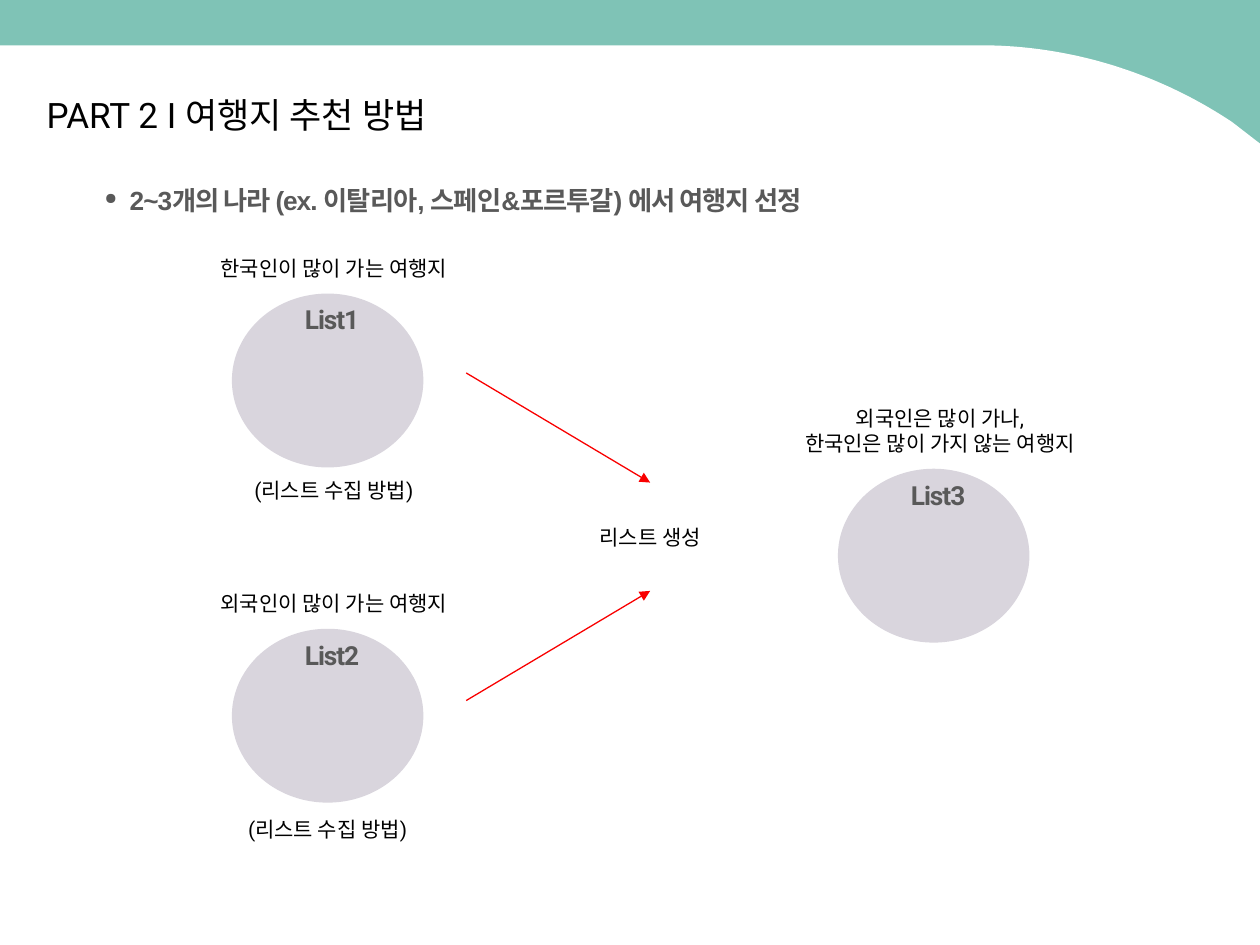
from lxml.etree import SubElement
from pptx import Presentation
from pptx.dml.color import RGBColor
from pptx.enum.shapes import MSO_CONNECTOR, MSO_SHAPE
from pptx.enum.text import MSO_ANCHOR, MSO_AUTO_SIZE, PP_ALIGN
from pptx.oxml.ns import qn
from pptx.util import Inches, Pt

COLUMNS, ROWS = 100, 75
CELL = Inches(0.1)
TEAL, WHITE, BLACK = "7FC3B6", "FFFFFF", "000000"
LILAC, GREY, RED = "D9D5DD", "595959", "F90000"
CIRCLE_WIDTH, CIRCLE_HEIGHT = 15.2, 13.8
LABEL_WIDTH, LINE_HEIGHT = 23.2, 2


def cells(*lengths):
    """Turn grid lengths into slide units."""
    return [round(length * CELL) for length in lengths]


def paint(color_format, color):
    """Set a hex colour on a fill or font colour."""
    color_format.rgb = RGBColor.from_string(color)


def fill_plain(shape, color):
    """Give a shape a flat fill with no line or shadow."""
    shape.shadow.inherit = False
    shape.fill.solid()
    paint(shape.fill.fore_color, color)
    shape.line.fill.background()


def write(shape, lines, size, color=BLACK, font="Roboto", heading=False, align=PP_ALIGN.LEFT):
    """Write lines into a frame without margins and return its paragraphs."""
    frame = shape.text_frame
    frame.word_wrap = True
    frame.auto_size = MSO_AUTO_SIZE.SHAPE_TO_FIT_TEXT
    frame.vertical_anchor = MSO_ANCHOR.TOP
    frame.margin_left = frame.margin_right = frame.margin_top = frame.margin_bottom = 0
    frame.text = "\n".join(lines)
    for paragraph in frame.paragraphs:
        paragraph.alignment = align
        paragraph.font.name = font
        paragraph.font.size = Pt(size)
        paragraph.font.bold = heading
        paint(paragraph.font.color, color)
        if heading:
            paragraph.space_before = Pt(5)
            paragraph.font._element.set("spc", "-60")
    return frame.paragraphs


def add_label(slide, center, top, lines):
    """Add centred small text around a column."""
    box = cells(center - LABEL_WIDTH / 2, top, LABEL_WIDTH, LINE_HEIGHT * len(lines))
    write(slide.shapes.add_textbox(*box), lines, 12, align=PP_ALIGN.CENTER)


def curve(start, first, second, end, steps=40):
    """Return points along a cubic curve after its start."""
    points = []
    for step in range(1, steps + 1):
        t = step / steps
        weights = ((1 - t) ** 3, 3 * t * (1 - t) ** 2, 3 * t * t * (1 - t), t ** 3)
        points.append(tuple(
            sum(weight * value for weight, value in zip(weights, values))
            for values in zip(start, first, second, end)))
    return points


def add_panel(slide, top):
    """Lay the white page with its curved corner below the teal band."""
    bend = (77.8, top)
    points = [bend, *curve(bend, (85.2, top), (92.1, top + 2.3), (97.8, top + 6.1)),
              (COLUMNS, top + 7.8), (COLUMNS, ROWS), (0, ROWS)]
    builder = slide.shapes.build_freeform(*cells(0, top))
    builder.add_line_segments([cells(*point) for point in points])
    panel = builder.convert_to_shape()
    fill_plain(panel, WHITE)
    slide.shapes._spTree.insert(2, panel._element)


def add_title(slide, left, top, width, height):
    """Place and format the title placeholder."""
    title = slide.shapes.title
    title.left, title.top, title.width, title.height = cells(left, top, width, height)
    write(title, ["PART 2 I 여행지 추천 방법"], 20)


def add_statement(slide, left, top, width, height):
    """Add the bulleted main statement."""
    box = slide.shapes.add_textbox(*cells(left, top, width, height))
    text = "2~3개의 나라 (ex. 이탈리아, 스페인&포르투갈) 에서 여행지 선정"
    paragraph = write(box, [text], 15, GREY, "Arial", heading=True)[0]
    properties = paragraph._p.get_or_add_pPr()
    properties.set("marL", str(Inches(0.2)))
    properties.set("indent", str(-Inches(0.2)))
    color = SubElement(properties, qn("a:buClr"))
    SubElement(color, qn("a:srgbClr"), val=GREY)
    SubElement(properties, qn("a:buSzPct"), val="60000")
    SubElement(properties, qn("a:buChar"), char="●")
    properties.append(properties.find(qn("a:defRPr")))


def add_list(slide, left, top, name, caption):
    """Add a circle with its name inside and its caption above."""
    circle = slide.shapes.add_shape(
        MSO_SHAPE.OVAL, *cells(left, top, CIRCLE_WIDTH, CIRCLE_HEIGHT))
    fill_plain(circle, LILAC)
    add_label(slide, left + 8.1, top - 1 - LINE_HEIGHT * len(caption), caption)
    box = slide.shapes.add_textbox(*cells(left + 5.8, top + 0.8, 4.7, 2.5))
    write(box, [name], 15, GREY, heading=True)


def add_arrow(slide, start, end):
    """Draw a thin red arrow between two grid points."""
    arrow = slide.shapes.add_connector(MSO_CONNECTOR.STRAIGHT, *cells(*start, *end))
    paint(arrow.line.color, RED)
    arrow.line.width = Pt(0.75)
    SubElement(arrow.line._get_or_add_ln(), qn("a:tailEnd"), type="triangle")
    SubElement(arrow._element.spPr, qn("a:effectLst"))


def add_flow(slide, left, top):
    """Show two source lists leading to the generated list."""
    sources = [("List1", "한국인이 많이 가는 여행지", 0, 8.1, 14.6),
               ("List2", "외국인이 많이 가는 여행지", 26.6, 7.6, 14.9)]
    for name, caption, drop, method_center, method_drop in sources:
        add_list(slide, left, top + drop, name, [caption])
        add_label(slide, left + method_center, top + drop + method_drop, ["(리스트 수집 방법)"])
    middle = top + 19.3
    for side in (-1, 1):
        add_arrow(slide, (left + 18.6, middle + side * 13), (left + 33.2, middle + side * 4.3))
    add_label(slide, left + 33.2, middle - LINE_HEIGHT / 2, ["리스트 생성"])
    add_list(slide, left + 48.1, top + 13.9, "List3",
             ["외국인은 많이 가나,", "한국인은 많이 가지 않는 여행지"])


def main():
    """Build and save the slide."""
    presentation = Presentation()
    presentation.slide_width, presentation.slide_height = cells(COLUMNS, ROWS)
    slide = presentation.slides.add_slide(presentation.slide_layouts[5])
    slide.background.fill.solid()
    paint(slide.background.fill.fore_color, TEAL)
    add_panel(slide, 3.6)
    add_title(slide, 3.7, 7.4, 35.6, 3.4)
    add_statement(slide, 8.3, 14.6, 86.6, 2.5)
    add_flow(slide, 18.4, 23.3)
    presentation.save("out.pptx")


if __name__ == "__main__":
    main()
